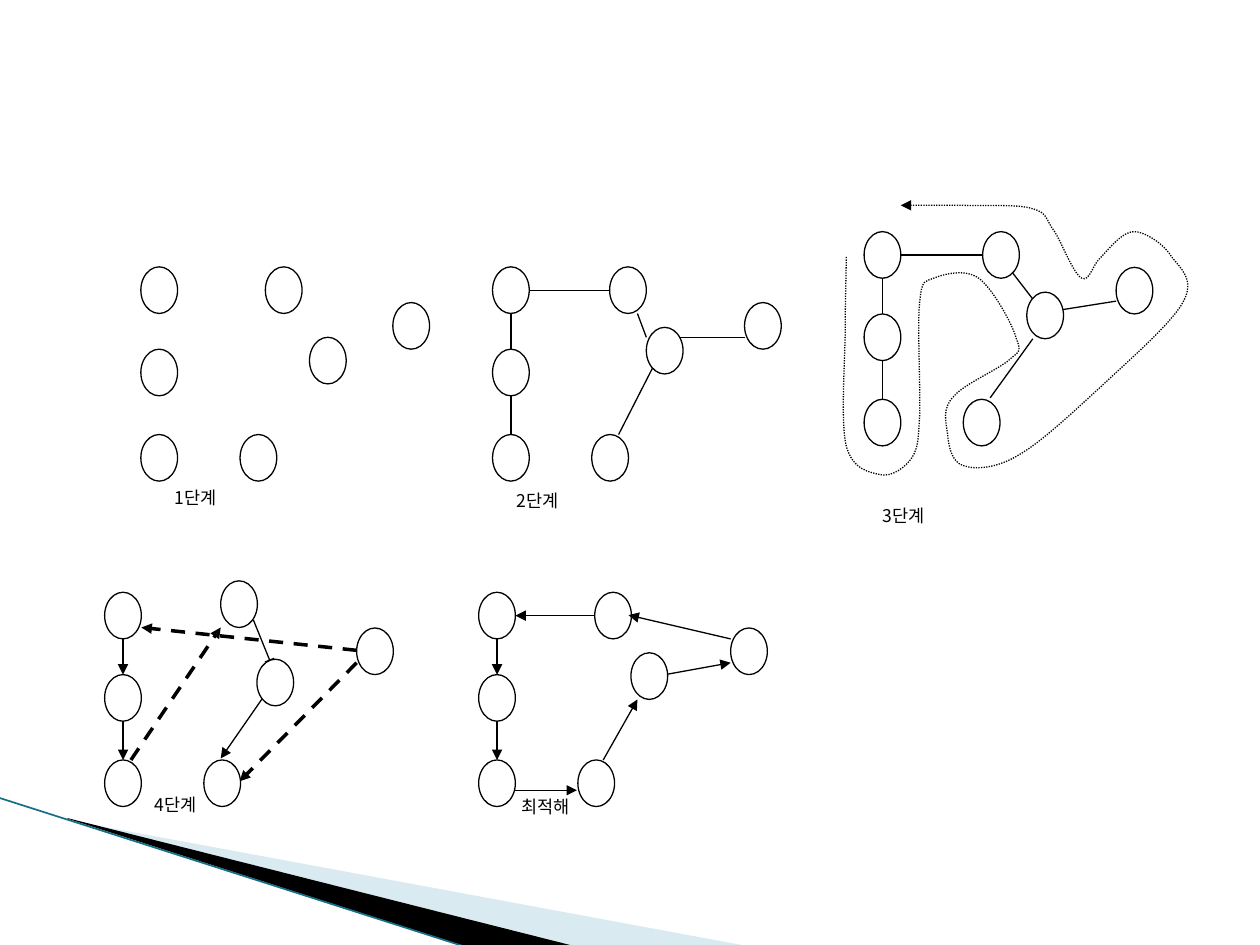
import pptx
import pptx.util
import pptx.dml.color
import pptx.enum.dml
import pptx.enum.shapes
import pptx.enum.text
import pptx.oxml
import pptx.oxml.ns
import pptx.oxml.xmlchemy

Cm, Pt = pptx.util.Cm, pptx.util.Pt
RGB = pptx.dml.color.RGBColor
DASH = pptx.enum.dml.MSO_LINE
qn = pptx.oxml.ns.qn
make = pptx.oxml.xmlchemy.OxmlElement

BLACK = RGB(0, 0, 0)
WHITE = RGB(0xFF, 0xFF, 0xFF)
PALE = RGB(0xA0, 0xCB, 0xDC)
TEAL = RGB(0x14, 0x6F, 0x85)
FONT = "Noto Sans CJK KR"

# All positions are in centimetres; those of a step are relative to its box.
NODE_W, NODE_H = 0.74, 0.94
COLUMN = [(0, 0), (0, 1.66), (0, 3.38)]
FOOT, FAR = (2.0, 3.38), (5.08, 0.72)

# box, top node, middle node, label place, label
STEPS = [
    ((2.84, 5.38), (2.51, 0), (3.4, 1.42), (0.43, 4.32), "1단계"),
    ((9.93, 5.38), (2.36, 0), (3.1, 1.22), (0.23, 4.37), "2단계"),
    ((17.42, 4.67), (2.39, 0), (3.28, 1.22), (0.13, 5.38), "3단계"),
    ((2.11, 11.94), (2.34, -0.23), (3.07, 1.35), (0.76, 3.94), "4단계"),
    ((9.65, 11.94), (2.34, 0), (3.07, 1.22), (0.61, 3.99), "최적해"),
]
# loose links of each step: x1, y1, x2, y2
LINKS = [
    [],
    [(2.92, 0.94, 3.1, 1.42), (3.28, 1.93, 2.54, 3.38), (5.08, 1.42, 3.66, 1.42)],
    [(3.0, 0.84, 3.84, 1.93), (3.4, 2.16, 2.54, 3.35), (5.08, 1.4, 4.01, 1.57)],
    [(3.0, 0.56, 3.4, 1.55), (3.2, 2.11, 2.34, 3.35)],
    [(5.08, 0.94, 3.02, 0.46), (2.51, 3.38, 3.2, 2.16),
     (3.81, 1.65, 5.08, 1.42), (0.72, 3.99, 1.98, 3.99)],
]
JUMPS = [(5.08, 1.42, 2.72, 3.81), (0.53, 3.38, 2.34, 0.71), (5.08, 1.17, 0.74, 0.71)]

# start of the tour, then two handles and an end for each curve
TOUR = [
    (-0.36, 0.51),
    (-0.36, 0.89), (-0.38, 1.3), (-0.38, 1.93),
    (-0.38, 2.57), (-0.48, 3.81), (-0.36, 4.32),
    (-0.23, 4.8), (0.1, 4.85), (0.33, 4.9),
    (0.56, 4.95), (0.84, 4.75), (0.97, 4.55),
    (1.09, 4.34), (1.09, 4.22), (1.12, 3.71),
    (1.14, 3.18), (1.07, 1.88), (1.12, 1.42),
    (1.17, 0.94), (1.22, 1.02), (1.4, 0.94),
    (1.6, 0.86), (2.03, 0.74), (2.31, 0.94),
    (2.59, 1.14), (3.0, 1.88), (3.07, 2.16),
    (3.18, 2.44), (3.12, 2.41), (2.92, 2.59),
    (2.69, 2.79), (2.01, 3.07), (1.8, 3.33),
    (1.57, 3.56), (1.65, 3.84), (1.68, 4.06),
    (1.7, 4.29), (1.75, 4.65), (2.01, 4.72),
    (2.24, 4.8), (2.67, 4.78), (3.12, 4.5),
    (3.58, 4.24), (4.22, 3.63), (4.78, 3.12),
    (5.31, 2.62), (6.2, 1.85), (6.43, 1.42),
    (6.68, 0.97), (6.38, 0.74), (6.2, 0.51),
    (6.05, 0.25), (5.66, 0), (5.44, 0),
    (5.21, 0), (4.95, 0.33), (4.78, 0.51),
    (4.6, 0.66), (4.55, 1.02), (4.39, 0.94),
    (4.22, 0.86), (3.99, 0.23), (3.84, 0),
    (3.66, -0.23), (3.71, -0.38), (3.4, -0.46),
    (3.12, -0.56), (2.44, -0.51), (2.01, -0.53),
    (1.55, -0.53), (0.94, -0.53), (0.74, -0.53),
]


def ink(shape, color=BLACK, width=0.75, dash=None, arrow=False):
    """Style the line of a shape or connector."""
    line = shape.line
    line.color.rgb = color
    line.width = Pt(width)
    if dash:
        line.dash_style = dash
    if arrow:
        tail = make("a:tailEnd")
        tail.set("type", "triangle")
        shape._element.spPr.find(qn("a:ln")).append(tail)


def link(shapes, box, ends, **style):
    x, y = box
    x1, y1, x2, y2 = ends
    line = shapes.add_connector(
        pptx.enum.shapes.MSO_CONNECTOR.STRAIGHT,
        Cm(x + x1), Cm(y + y1), Cm(x + x2), Cm(y + y2))
    ink(line, **style)
    line._element.spPr.append(make("a:effectLst"))
    return line


def join(shapes, start, site, end, goal, arrow):
    """Link two nodes at the middles of their sides."""
    line = link(shapes, (0, 0), (0, 0, 1, 1), arrow=arrow)
    line.begin_connect(start, site)
    line.end_connect(end, goal)


def node(shapes, box, spot):
    oval = shapes.add_shape(
        pptx.enum.shapes.MSO_SHAPE.OVAL, Cm(box[0] + spot[0]),
        Cm(box[1] + spot[1]), Cm(NODE_W), Cm(NODE_H))
    oval.shadow.inherit = False
    oval.fill.solid()
    oval.fill.fore_color.rgb = WHITE
    ink(oval)
    return oval


def label(shapes, box, spot, text):
    area = shapes.add_textbox(
        Cm(box[0] + spot[0]), Cm(box[1] + spot[1]), Cm(3.71), Cm(1.4))
    area.text_frame.word_wrap = True
    area.text_frame.text = text
    para = area.text_frame.paragraphs[0]
    para.alignment = pptx.enum.text.PP_ALIGN.JUSTIFY
    font = para.runs[0].font
    font.size, font.name = Pt(10), FONT
    font.color.rgb = BLACK
    east = make("a:ea")
    east.set("typeface", FONT)
    font._element.append(east)


def outline(shapes, box, spots, close):
    pts = [(Cm(box[0] + x), Cm(box[1] + y)) for x, y in spots]
    pen = shapes.build_freeform(*pts[0])
    pen.add_line_segments(pts[1:], close=close)
    shape = pen.convert_to_shape()
    shape.shadow.inherit = False
    return shape


def tour(shapes, box):
    """Draw the dotted walk, turning each three segments into one curve."""
    walk = outline(shapes, box, TOUR, False)
    walk.fill.background()
    ink(walk, dash=DASH.ROUND_DOT, arrow=True)
    legs = list(walk._element.iter(qn("a:lnTo")))
    for i in range(0, len(legs), 3):
        curve = make("a:cubicBezTo")
        legs[i].addprevious(curve)
        for leg in legs[i:i + 3]:
            curve.append(leg[0])
            leg.getparent().remove(leg)


def step(shapes, box, top, mid, spot, text, links, tree=True, arrow=False,
         loop=True, jumps=()):
    col = [node(shapes, box, place) for place in COLUMN]
    head = node(shapes, box, top)
    if tree:
        for upper, lower in zip(col, col[1:]):
            join(shapes, upper, 2, lower, 0, arrow)
        if loop:
            # An oval has eight sites: 2 is its left, 4 its bottom, 6 its right.
            join(shapes, head, 1, col[0], 3, arrow)
    for ends in links:
        link(shapes, box, ends, arrow=arrow)
    for ends in jumps:
        link(shapes, box, ends, width=2, dash=DASH.DASH, arrow=True)
    for place in (mid, FOOT, FAR):
        node(shapes, box, place)
    label(shapes, box, spot, text)


def wave(shapes, box):
    """Draw the corner decoration."""
    for spots, color in (
            ([(0.05, 0.46), (13.76, 3), (10.23, 3), (0.05, 0.43)], PALE),
            ([(0, 0.41), (10.26, 3), (8.1, 3.02), (0.03, 0.43)], BLACK)):
        band = outline(shapes, box, spots, True)
        band.fill.solid()
        band.fill.fore_color.rgb = color
        band.line.fill.background()
        if color == PALE:
            alpha = make("a:alpha")
            alpha.set("val", "40000")
            next(band._element.spPr.iter(qn("a:srgbClr"))).append(alpha)
    link(shapes, box, (-1.38, 0, 8.07, 3.02), color=TEAL, width=0.95)


def main():
    deck = pptx.Presentation()
    deck.slide_width, deck.slide_height = Cm(25.4), Cm(19.05)
    shapes = deck.slides.add_slide(deck.slide_layouts[6]).shapes
    wave(shapes, (1.35, 16.08))
    tour(shapes, STEPS[2][0])
    for i, (parts, links) in enumerate(zip(STEPS, LINKS)):
        step(shapes, *parts, links, tree=i > 0, arrow=i > 2,
             loop=i != 3, jumps=JUMPS if i == 3 else ())
    deck.save("out.pptx")


if __name__ == "__main__":
    main()
